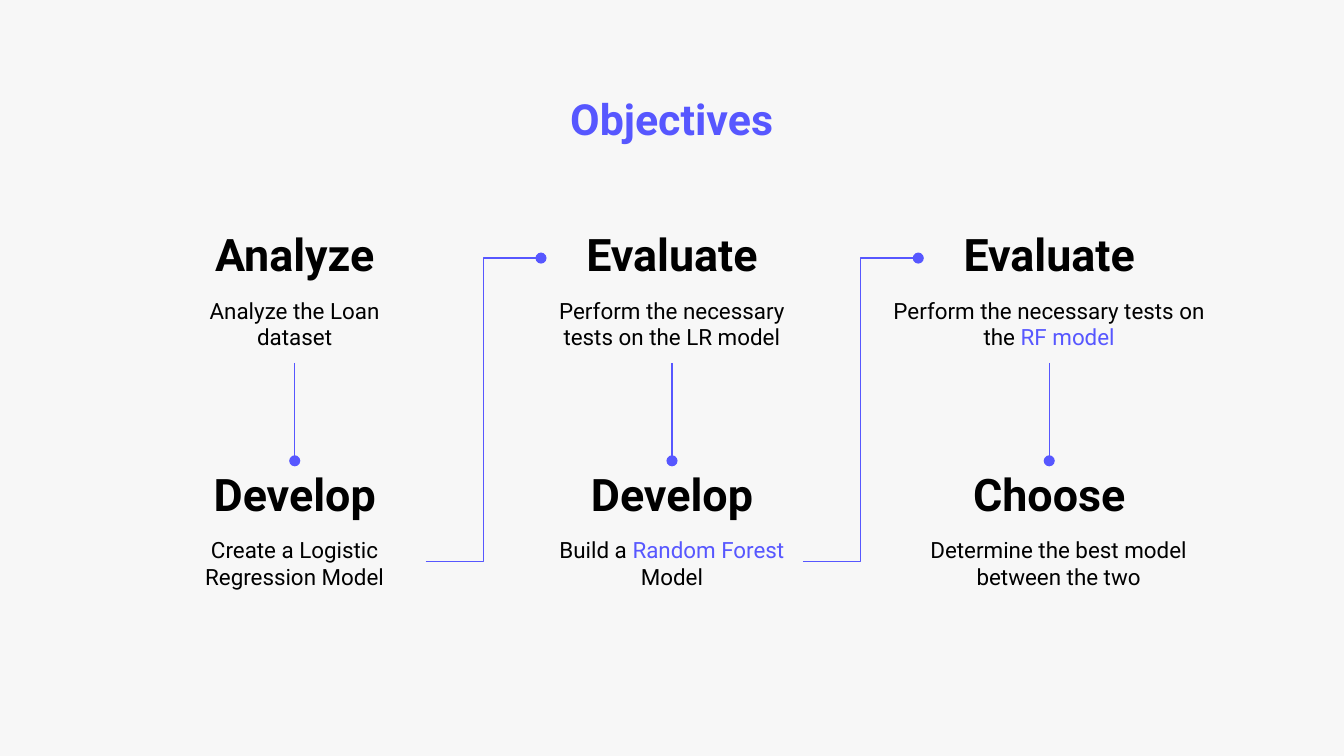
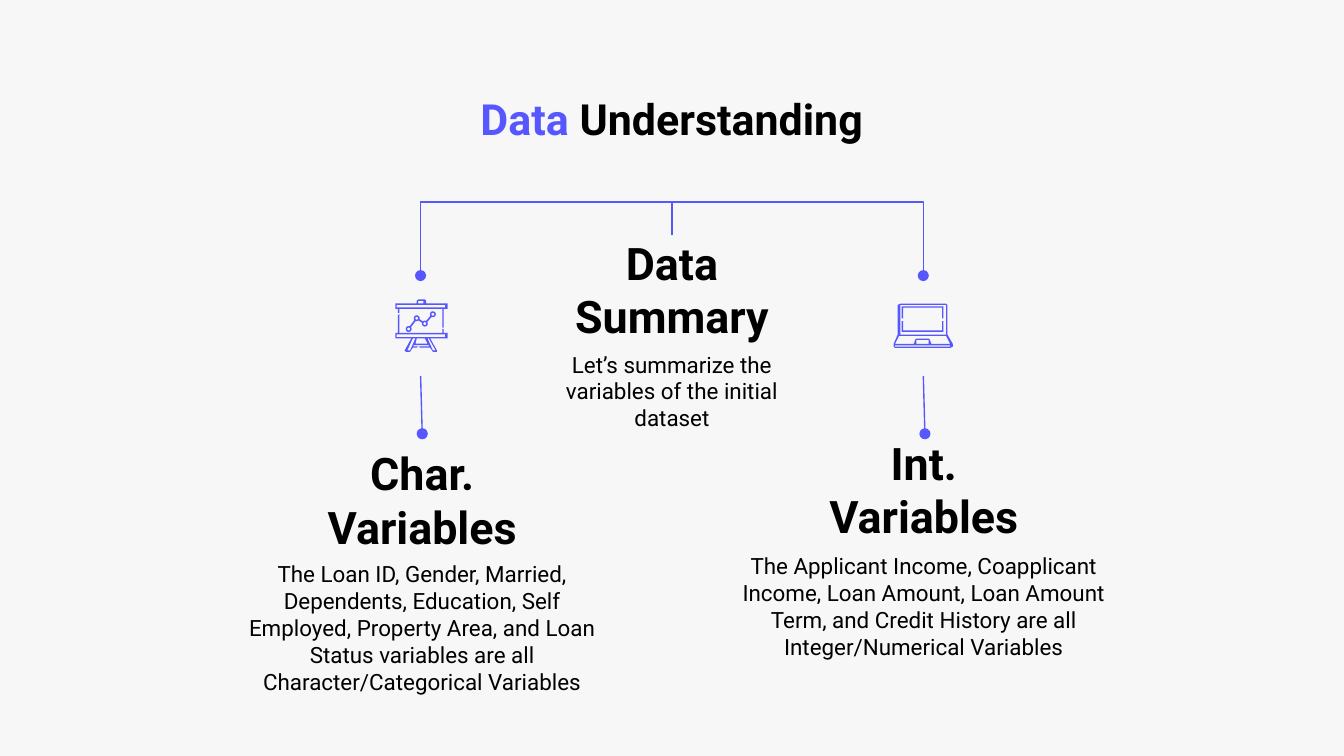
from dataclasses import dataclass
from itertools import pairwise
from math import cos, hypot, pi, sin

from lxml import etree
from pptx import Presentation
from pptx import util as u
from pptx.dml.color import RGBColor
from pptx.enum import shapes, text
from pptx.oxml.ns import qn

ICON_UNIT = 2.54 / 100


@dataclass(frozen=True)
class Theme:
    font: str = "Roboto"
    paper: RGBColor = RGBColor(0xF7, 0xF7, 0xF7)
    ink: RGBColor = RGBColor(0, 0, 0)
    accent: RGBColor = RGBColor(0x57, 0x57, 0xFF)
    title_size: float = 23
    heading_size: float = 24
    body_size: float = 12
    line_width: float = 0.75


def write(frame, content, *, theme, size, bold=False, anchor=text.MSO_ANCHOR.TOP):
    """Text between asterisks takes the accent colour."""
    frame.word_wrap = True
    frame.vertical_anchor = anchor
    frame.margin_left = frame.margin_right = u.Cm(0.25)
    frame.margin_top = frame.margin_bottom = u.Cm(0.25)
    for number, line in enumerate(content.split("\n")):
        para = frame.add_paragraph() if number else frame.paragraphs[0]
        para.alignment = text.PP_ALIGN.CENTER
        for index, piece in enumerate(line.split("*")):
            if not piece:
                continue
            span = para.add_run()
            span.text = piece
            span.font.name = theme.font
            span.font.size = u.Pt(size)
            span.font.bold = bold
            span.font.color.rgb = theme.accent if index % 2 else theme.ink


class Page:
    def __init__(self, deck, theme, title):
        self.theme = theme
        self.slide = deck.slides.add_slide(deck.slide_layouts[6])
        fill = self.slide.background.fill
        fill.solid()
        fill.fore_color.rgb = theme.paper
        self.text(title, 12.7, 1.5, 21.4, 1.6, size=theme.title_size, bold=True)

    def text(self, content, center, top, width, height, **look):
        box = self.slide.shapes.add_textbox(
            u.Cm(center - width / 2), u.Cm(top), u.Cm(width), u.Cm(height))
        write(box.text_frame, content, theme=self.theme, **look)

    def heading(self, content, center, top, width, height):
        self.text(content, center, top, width, height, size=self.theme.heading_size,
                  bold=True, anchor=text.MSO_ANCHOR.BOTTOM)

    def body(self, content, center, top, width, height):
        self.text(content, center, top, width, height, size=self.theme.body_size)

    def connector(self, start, end, kind=shapes.MSO_CONNECTOR.STRAIGHT):
        line = self.slide.shapes.add_connector(kind, *map(u.Cm, (*start, *end)))
        line.line.color.rgb = self.theme.accent
        line.line.width = u.Pt(self.theme.line_width)
        properties = line._element.spPr
        etree.SubElement(properties.find(qn("a:ln")), qn("a:tailEnd"), type="oval")
        etree.SubElement(properties, qn("a:effectLst"))
        return line

    def elbow(self, start, end):
        self.connector(start, end, shapes.MSO_CONNECTOR.ELBOW)

    def upright_elbow(self, start, end, turn):
        center_x, center_y = ((a + b) / 2 for a, b in zip(start, end))
        corners = [(center_x - (y - center_y), center_y + (x - center_x))
                   for x, y in (start, end)]
        line = self.connector(*corners, shapes.MSO_CONNECTOR.ELBOW)
        properties = line._element.spPr
        properties.find(qn("a:xfrm")).set("rot", str(270 * 60000))
        guides = properties.find(qn("a:prstGeom")).get_or_add_avLst()
        etree.SubElement(guides, qn("a:gd"), name="adj1",
                         fmla=f"val {round(turn * 100000)}")

    def outline(self, left, top, contours):
        placed = [[(u.Cm(left + x * ICON_UNIT), u.Cm(top + y * ICON_UNIT))
                   for x, y in contour] for contour in contours]
        builder = self.slide.shapes.build_freeform(*placed[0][0])
        for number, (first, *others) in enumerate(placed):
            if number:
                builder.move_to(*first)
            builder.add_line_segments(others, close=True)
        shape = builder.convert_to_shape()
        shape.shadow.inherit = False
        shape.fill.solid()
        shape.fill.fore_color.rgb = self.theme.accent
        shape.line.fill.background()

    def icon(self, left, top, parts):
        for contours in parts:
            self.outline(left, top, contours)


def rectangle(left, top, right, bottom):
    return [(left, top), (right, top), (right, bottom), (left, bottom)]


def circle(x, y, radius, steps=16):
    return [(x + radius * cos(2 * pi * i / steps), y + radius * sin(2 * pi * i / steps))
            for i in range(steps)]


def bar(start, end, gap, half_width):
    (x1, y1), (x2, y2) = start, end
    length = hypot(x2 - x1, y2 - y1)
    dx, dy = (x2 - x1) / length, (y2 - y1) / length
    return [(x + side * half_width * -dy, y + side * half_width * dx)
            for x, y, side in (
                (x1 + gap * dx, y1 + gap * dy, 1), (x2 - gap * dx, y2 - gap * dy, 1),
                (x2 - gap * dx, y2 - gap * dy, -1), (x1 + gap * dx, y1 + gap * dy, -1))]


def laptop_parts():
    case = [(5, 0), (3, 1), (3, 23), (0, 30), (0, 32), (1, 33), (42, 33), (44, 32),
            (44, 30), (40, 23), (40, 1), (39, 0)]
    keyboard = [(39, 24), (42, 30), (28, 30), (27, 27), (26, 26), (17, 26), (16, 27),
                (15, 30), (1, 30), (4, 24)]
    lower_frame = [(6, 13), (6, 21), (37, 21), (37, 13), (36, 13), (36, 20), (7, 20),
                   (7, 13)]
    upper_frame = [(6, 11), (6, 2), (37, 2), (37, 11), (36, 11), (36, 3), (7, 3), (7, 11)]
    return [[case, rectangle(5, 1, 39, 23), rectangle(17, 27, 26, 30), keyboard,
             rectangle(1, 31, 42, 32)], [lower_frame], [upper_frame]]


def board_parts():
    rail = [(17, 0), (16, 1), (16, 3), (0, 3), (0, 7), (2, 7), (2, 10), (3, 10), (3, 7),
            (35, 7), (35, 21), (36, 21), (36, 7), (39, 7), (39, 3), (23, 3), (23, 1),
            (22, 0)]
    stand = [(3, 11), (2, 12), (2, 25), (0, 25), (0, 29), (12, 29), (7, 38), (8, 39),
             (11, 39), (13, 36), (16, 36), (17, 35), (13, 35), (14, 34), (25, 34),
             (25, 35), (18, 35), (18, 36), (26, 36), (28, 39), (31, 39), (31, 38),
             (26, 29), (39, 29), (39, 25), (36, 25), (36, 22), (35, 22), (35, 25), (3, 25)]
    leg_gaps = [[(22, 29), (24, 33), (15, 33), (16, 29)],
                [(15, 29), (11, 38), (9, 38), (13, 29)],
                [(25, 29), (30, 38), (28, 38), (24, 29)]]
    nodes = [(10, 22), (16, 14), (22, 18), (28, 11)]
    rings = [circle(x, y, radius) for x, y in nodes for radius in (2.2, 1.1)]
    links = [bar(a, b, 2.1, 0.6) for a, b in pairwise(nodes)]
    return [[rail, rectangle(17, 1, 21, 3), rectangle(1, 4, 37, 6)],
            [stand, rectangle(1, 26, 37, 28), *leg_gaps], rings + links]


def objectives(deck, theme):
    page = Page(deck, theme, "*Objectives*")
    first_center, column_step, heading_width = 5.57, 7.13, 4.95
    row_tops = (4.19, 8.71)
    columns = [
        [("Analyze", "Analyze the Loan dataset", 4.95, 0),
         ("Develop", "Create a Logistic Regression Model", 4.95, 0)],
        [("Evaluate", "Perform the necessary tests on the LR model", 5.69, 0),
         ("Develop", "Build a *Random Forest *Model", 4.95, 0)],
        [("Evaluate", "Perform the necessary tests on the *RF model*", 6.43, 0),
         ("Choose", "Determine the best model between the two", 6.07, 0.18)],
    ]
    centers = [first_center + i * column_step for i in range(len(columns))]
    for center, steps in zip(centers, columns):
        for top, (name, detail, width, shift) in zip(row_tops, steps):
            page.heading(name, center, top, heading_width, 1.37)
            page.body(detail, center + shift, top + 1.17, width, 1.5)
        page.connector((center, 6.86), (center, row_tops[1]))
    for left, right in pairwise(centers):
        page.elbow((left + heading_width / 2, 10.62), (right - heading_width / 2, 4.88))


def data_understanding(deck, theme):
    page = Page(deck, theme, "*Data* Understanding")
    middle, reach = 12.7, 4.75
    page.heading("Data Summary", middle, 4.45, 4.95, 2.28)
    page.body("Let’s summarize the variables of the initial dataset",
              middle, 6.38, 4.95, 2.46)
    page.heading("Char.\nVariables", 7.98, 8.2, 7.34, 2.51)
    page.body("The Loan ID, Gender, Married, Dependents, Education, Self Employed, "
              "Property Area, and Loan Status variables are all "
              "Character/Categorical Variables", 7.98, 10.34, 7.34, 4.45)
    page.heading("Int.\nVariables", 17.46, 8.2, 7.85, 2.31)
    page.body("The Applicant Income, Coapplicant Income, Loan Amount, Loan Amount Term, "
              "and Credit History are all Integer/Numerical Variables",
              17.46, 10.19, 7.85, 4.11)
    for branch in (middle - reach, middle + reach):
        page.upright_elbow((middle, 4.45), (branch, 5.21), -0.83)
        page.connector((branch, 7.11), (branch + 0.03, 8.2))
    page.icon(16.89, 5.74, laptop_parts())
    page.icon(7.47, 5.66, board_parts())


def main():
    deck = Presentation()
    deck.slide_width, deck.slide_height = u.Cm(25.4), u.Cm(14.29)
    theme = Theme()
    objectives(deck, theme)
    data_understanding(deck, theme)
    deck.save("out.pptx")


if __name__ == "__main__":
    main()
